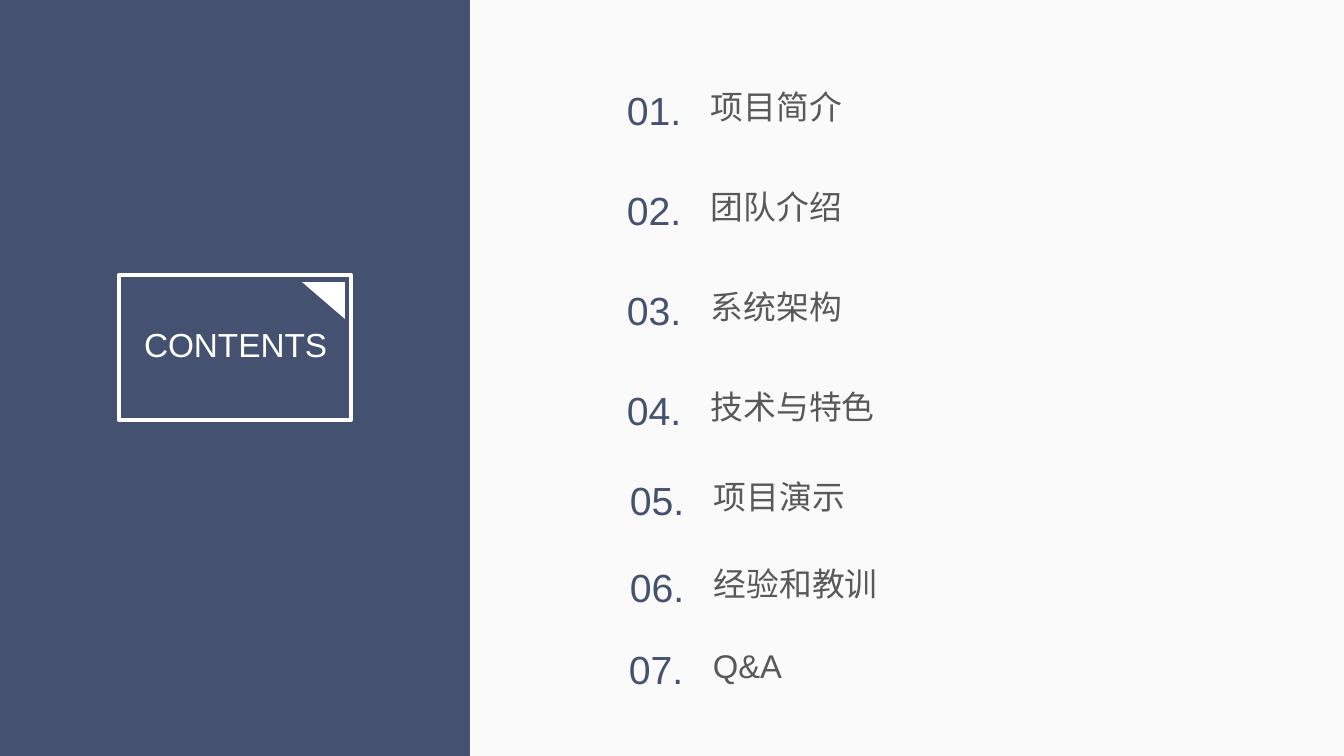
import pptx
import pptx.util
import pptx.dml.color
import pptx.enum.shapes
import pptx.enum.text

RGBColor = pptx.dml.color.RGBColor
NAVY = RGBColor(0x45, 0x51, 0x71)
WHITE = RGBColor(0xFF, 0xFF, 0xFF)
GREY = RGBColor(0x59, 0x59, 0x59)
PALE = RGBColor(0xFA, 0xFA, 0xFA)

FONT = "Arial"
HEADING = "CONTENTS"
# (section, left px, top px)
SECTIONS = [
    ("项目简介", 617, 81),
    ("团队介绍", 617, 181),
    ("系统架构", 617, 281),
    ("技术与特色", 617, 381),
    ("项目演示", 620, 471),
    ("经验和教训", 620, 558),
    ("Q&A", 619, 640),
]
NAME_OFFSET = 84
PX = 914400 / 100.8


def px(*lengths):
    return [round(length * PX) for length in lengths]


def add_block(slide, preset, box, fill=None, line=None):
    block = slide.shapes.add_shape(preset, *px(*box))
    block.shadow.inherit = False
    if fill is None:
        block.fill.background()
    else:
        block.fill.solid()
        block.fill.fore_color.rgb = fill
    if line is None:
        block.line.fill.background()
    else:
        block.line.color.rgb = line
        block.line.width = pptx.util.Pt(3)
    return block


def write(holder, text, size, color, align=pptx.enum.text.PP_ALIGN.LEFT):
    frame = holder.text_frame
    frame.word_wrap = True
    frame.auto_size = pptx.enum.text.MSO_AUTO_SIZE.NONE
    frame.vertical_anchor = pptx.enum.text.MSO_ANCHOR.TOP
    paragraph = frame.paragraphs[0]
    paragraph.alignment = align
    run = paragraph.add_run()
    run.text = text
    run.font.name = FONT
    run.font.size = pptx.util.Pt(size)
    run.font.color.rgb = color


def main():
    deck = pptx.Presentation()
    deck.slide_width, deck.slide_height = px(1344, 756)
    slide = deck.slides.add_slide(deck.slide_layouts[5])
    slide.background.fill.solid()
    slide.background.fill.fore_color.rgb = PALE

    preset = pptx.enum.shapes.MSO_SHAPE
    add_block(slide, preset.RECTANGLE, (0, 0, 470, 761), fill=NAVY)
    add_block(slide, preset.RECTANGLE, (119, 275, 232, 145), line=WHITE)
    corner = add_block(slide, preset.ISOSCELES_TRIANGLE, (302, 282, 43, 37), fill=WHITE)
    corner.adjustments[0] = 0
    corner.rotation = 180

    heading = slide.shapes.title
    heading.left, heading.top, heading.width, heading.height = px(133, 319, 205, 57)
    write(heading, HEADING, 23.8, WHITE, pptx.enum.text.PP_ALIGN.CENTER)
    # Bring the heading in front of the navy panel
    slide.shapes._spTree.append(heading._element)

    for number, (section, left, top) in enumerate(SECTIONS, start=1):
        number_box = slide.shapes.add_textbox(*px(left, top, 76, 57))
        write(number_box, f"{number:02d}.", 28, NAVY)
        name_box = slide.shapes.add_textbox(*px(left + NAME_OFFSET, top + 1, 326, 50))
        write(name_box, section, 23.4, GREY)

    deck.save("out.pptx")


if __name__ == "__main__":
    main()
